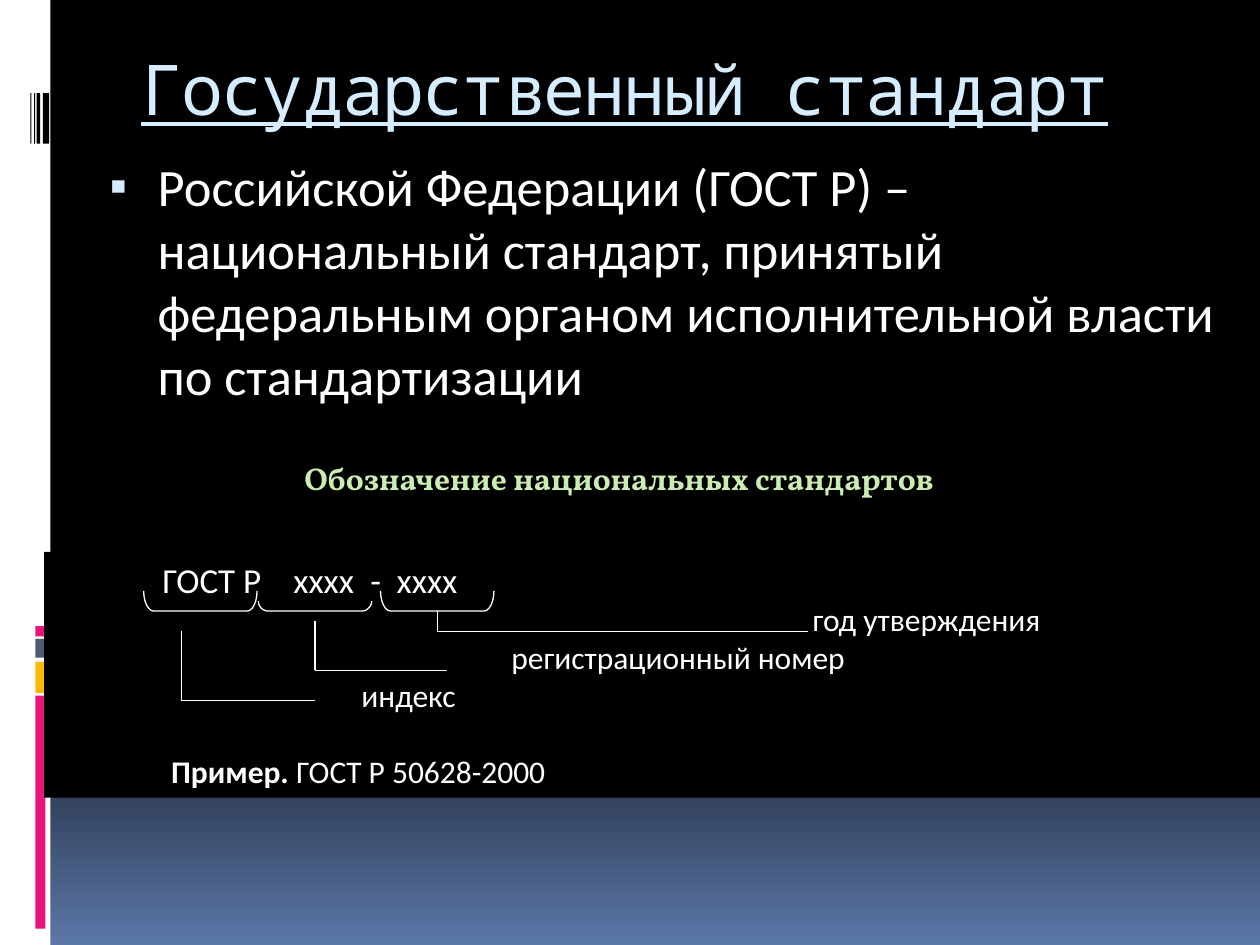
"""Build the slide on the national standard and its designation scheme."""
from lxml import etree
from pptx import Presentation
from pptx.dml.color import RGBColor
from pptx.enum.shapes import MSO_CONNECTOR, MSO_SHAPE
from pptx.enum.text import MSO_ANCHOR, MSO_AUTO_SIZE, PP_ALIGN
from pptx.oxml.ns import qn
from pptx.util import Inches, Pt

RECTANGLE, BRACKET = MSO_SHAPE.RECTANGLE, MSO_SHAPE.RIGHT_BRACKET
STRAIGHT = MSO_CONNECTOR.STRAIGHT
TOP, NO_FIT = MSO_ANCHOR.TOP, MSO_AUTO_SIZE.NONE
LEFT, CENTER = PP_ALIGN.LEFT, PP_ALIGN.CENTER
COLORS = {
    "black": "000000", "white": "FFFFFF", "pink": "EA157A", "amber": "FEB80A",
    "slate": "4E5B6F", "blue": "5B77A8", "ice": "D6ECFF", "green": "CCEDB1",
}
RGB = {name: RGBColor.from_string(value) for name, value in COLORS.items()}

presentation = Presentation()
presentation.slide_width, presentation.slide_height = Inches(10), Inches(7.5)
COLUMN = presentation.slide_width / 100
ROW = presentation.slide_height / 75
slide = presentation.slides.add_slide(presentation.slide_layouts[1])
shapes = slide.shapes


def grid(left, top, width, height):
    return [round(value * step) for value, step in zip((left, top, width, height), (COLUMN, ROW) * 2)]


def add_text(paragraph, text, color, **formats):
    run = paragraph.add_run()
    run.text = text
    run.font.color.rgb = RGB[color]
    for name, value in formats.items():
        setattr(run.font, name, value)
    return run


background = slide.background.fill
background.gradient()
background.gradient_angle = 270
for stop, (position, color) in zip(background.gradient_stops, [(0.65, "black"), (1, "blue")]):
    stop.position = position
    stop.color.rgb = RGB[color]

blocks = [
    (0, 0, 4, 75, "white"),
    (2.8, 55.2, 0.8, 18.5, "pink"),
    (2.8, 52.5, 0.8, 2.5, "amber"),
    (2.8, 50.7, 0.8, 1.5, "slate"),
    (2.8, 49.7, 0.8, 0.8, "pink"),
]
blocks += [(left, 7.4, width, 4, "black") for left, width in [(3.4, 0.5), (2.9, 0.3), (2.7, 0.1), (2.4, 0.1)]]
blocks.append((3.5, 43.8, 96.5, 19.5, "black"))
for *place, color in blocks:
    block = shapes.add_shape(RECTANGLE, *grid(*place))
    block.shadow.inherit = False
    block.fill.solid()
    block.fill.fore_color.rgb = RGB[color]
    block.line.fill.background()
scheme = block

heading = shapes.add_textbox(*grid(8.6, 35.9, 81.1, 4))
frames = [
    (shapes.title, (10.2, 3.1, 85, 10), LEFT),
    (slide.placeholders[1], (7, 11.7, 93, 53.9), LEFT),
    (heading, (8.6, 35.9, 81.1, 4), CENTER),
    (scheme, (3.5, 43.8, 96.5, 19.5), LEFT),
]
for shape, place, alignment in frames:
    shape.left, shape.top, shape.width, shape.height = grid(*place)
    for name, value in {"word_wrap": True, "auto_size": NO_FIT, "vertical_anchor": TOP}.items():
        setattr(shape.text_frame, name, value)
    shape.text_frame.paragraphs[0].alignment = alignment

title_run = add_text(shapes.title.text_frame.paragraphs[0], "Государственный стандарт", "ice",
                     size=Pt(40), name="Noto Sans Mono", underline=True)
title_run.font._element.set("spc", "-100")
add_text(heading.text_frame.paragraphs[0], "Обозначение национальных стандартов", "green",
         size=Pt(18), name="Vollkorn", bold=True)

definition = slide.placeholders[1].text_frame.paragraphs[0]
definition.space_before = Pt(7)
add_text(definition, "Российской Федерации (ГОСТ Р) – национальный стандарт, принятый "
         "федеральным органом исполнительной власти по стандартизации", "white",
         size=Pt(30), name="Calibri")
properties = definition._p.get_or_add_pPr()
properties.set("marL", str(Inches(0.45)))
properties.set("indent", str(Inches(-0.38)))
bullet_color = etree.SubElement(properties, qn("a:buClr"))
etree.SubElement(bullet_color, qn("a:srgbClr"), val=COLORS["ice"])
etree.SubElement(properties, qn("a:buSzPct"), val="95000")
etree.SubElement(properties, qn("a:buChar"), char="▪")

scheme_lines = [
    ([8.4, 18.8, 24.9, 27], 20, 0, [("\tГОСТ Р\tхххх\t-\tхххх", False)]),
    ([60], 18, 0, [("\tгод утверждения", False)]),
    ([36.1], 18, 0, [("\tрегистрационный номер", False)]),
    ([24.2], 18, 0, [("\tиндекс", False)]),
    ([9.1], 18, 22, [("\tПример.", True), (" ГОСТ Р 50628-2000", False)]),
]
for index, (stops, size, space, pieces) in enumerate(scheme_lines):
    frame = scheme.text_frame
    paragraph = frame.add_paragraph() if index else frame.paragraphs[0]
    paragraph.alignment, paragraph.space_before = LEFT, Pt(space)
    tabs = etree.SubElement(paragraph._p.get_or_add_pPr(), qn("a:tabLst"))
    for stop in stops:
        etree.SubElement(tabs, qn("a:tab"), pos=str(round(stop * COLUMN)), algn="l")
    for text, bold in pieces:
        add_text(paragraph, text, "white", size=Pt(size), name="Calibri", bold=bold)

strokes = []
for center, depth, curve in [(15.9, 1.6, 0.5), (25, 0.8, 0.99), (34.7, 1.6, 0.5)]:
    bracket = shapes.add_shape(BRACKET, *grid(center - depth / 2, 48.5 - depth / 2 - 4.5, depth, 9))
    bracket.rotation = 90
    bracket.adjustments[0] = curve
    bracket.shadow.inherit = False
    bracket.fill.background()
    strokes.append(bracket)

for left, top, right, bottom in [(14.4, 50.1, 25, 55.6), (25, 49.3, 35.5, 53.2), (34.7, 48.5, 64.1, 50.1)]:
    for ends in [(left, top, left, bottom), (left, bottom, right, bottom)]:
        connector = shapes.add_connector(STRAIGHT, *grid(*ends))
        etree.SubElement(connector._element.spPr, qn("a:effectLst"))
        strokes.append(connector)

for stroke in strokes:
    stroke.line.color.rgb = RGB["white"]
    stroke.line.width = Pt(0.75)

presentation.save("out.pptx")
